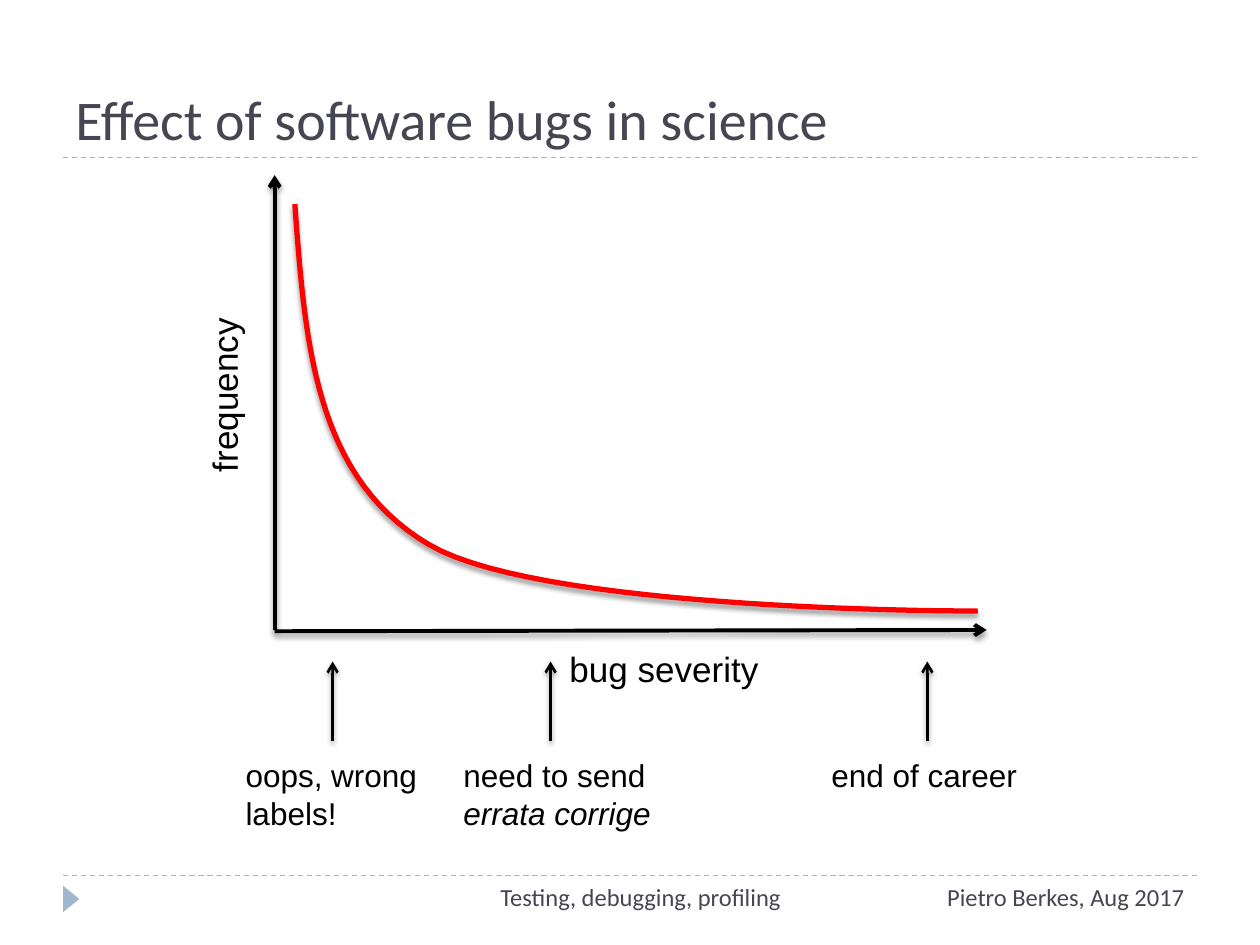
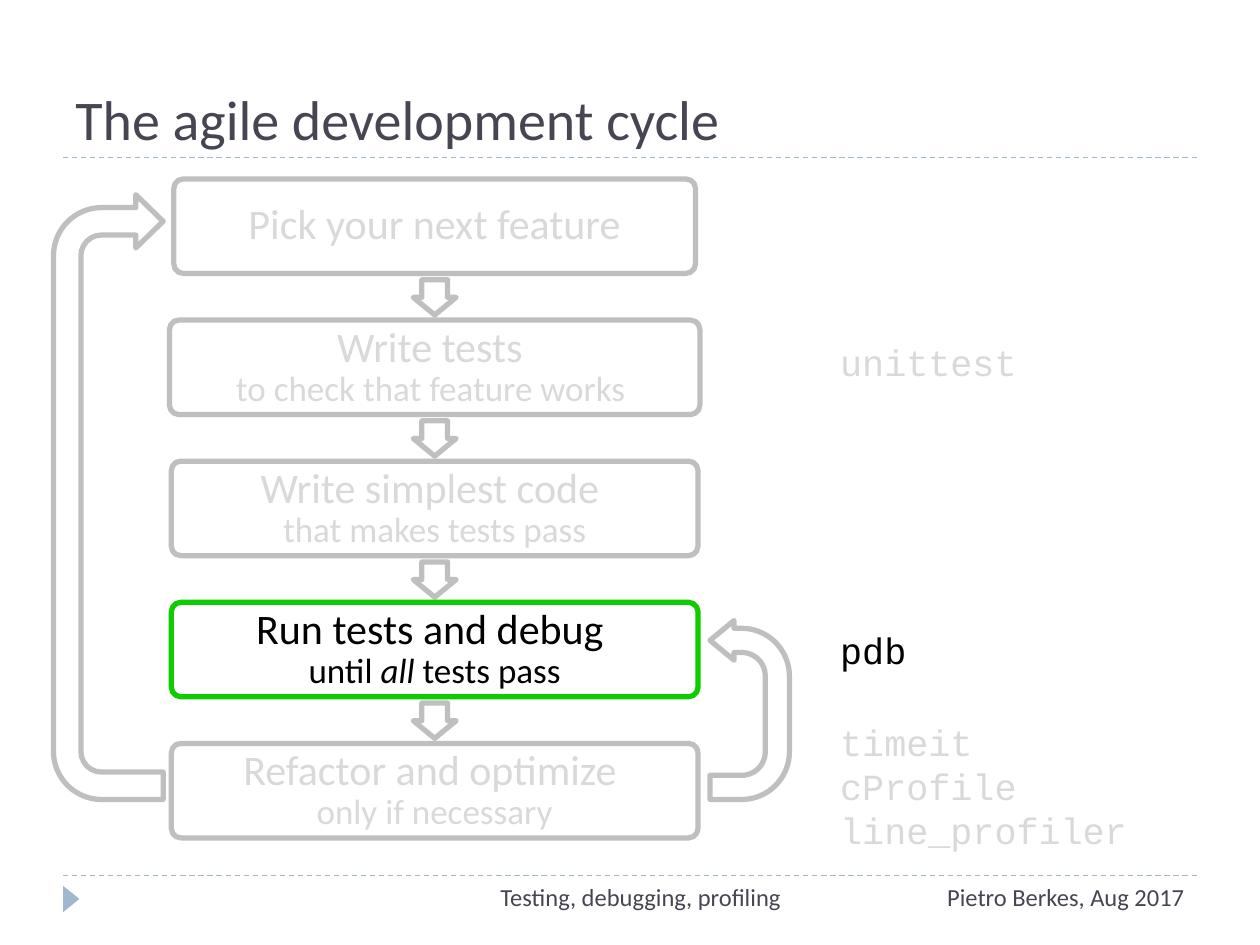
from dataclasses import dataclass
from typing import NamedTuple, Optional

import pptx
import pptx.util
from lxml import etree
from pptx.dml.color import RGBColor
from pptx.enum.dml import MSO_LINE
from pptx.enum.shapes import MSO_CONNECTOR, MSO_SHAPE
from pptx.enum.text import MSO_ANCHOR, PP_ALIGN
from pptx.oxml.ns import qn
from pptx.util import Inches


@dataclass(frozen=True)
class Theme:
    heading: str = "464653"
    accent: str = "9FB8CD"
    ink: str = "000000"
    paper: str = "FFFFFF"
    curve: str = "FF0000"
    faded_text: str = "D9D9D9"
    faded_line: str = "BFBFBF"
    active_line: str = "0ECC00"
    body_font: str = "Calibri"
    plot_font: str = "Arial"
    code_font: str = "Courier New"
    title_size: int = 32
    step_size: int = 24
    code_size: int = 21
    detail_size: int = 20
    axis_size: int = 20
    note_size: int = 18
    footer_size: int = 14
    outline: float = 3


THEME = Theme()


class Box(NamedTuple):
    x: float
    y: float
    w: float
    h: float

    def lengths(self) -> list:
        return [Inches(v) for v in self]


class Run(NamedTuple):
    text: str
    size: Optional[int] = None
    italic: Optional[bool] = None


class Style(NamedTuple):
    font: str
    size: int
    color: str
    align: PP_ALIGN = PP_ALIGN.LEFT


class Severity(NamedTuple):
    arrow_x: float
    box: Box
    runs: list


class Step(NamedTuple):
    width: float
    heading: str
    details: list
    active: bool = False


class Tools(NamedTuple):
    box: Box
    names: list
    color: str


class UTurn(NamedTuple):
    box: Box
    adjustments: list
    flipped: bool = False


BREAK = Run("\n")
NOTE = Style(THEME.plot_font, THEME.note_size, THEME.ink)
AXIS = Style(THEME.plot_font, THEME.axis_size, THEME.ink, PP_ALIGN.CENTER)

SEVERITIES = [
    Severity(2.64, Box(1.85, 5.95, 1.65, 0.71), [Run("oops, wrong labels!")]),
    Severity(4.37, Box(3.58, 5.95, 1.73, 0.71),
             [Run("need to send "), Run("errata corrige", italic=True)]),
    Severity(7.36, Box(6.5, 5.95, 1.73, 0.4), [Run("end of career")]),
]
CURVE = [
    [(2.34, 1.62), (2.42, 2.7), (2.49, 3.78), (3.4, 4.32)],
    [(3.4, 4.32), (4.3, 4.86), (7.76, 4.85), (7.76, 4.85)],
]

STEPS = [
    Step(4.14, "Pick your next feature", []),
    Step(4.21, "Write tests ", [Run("to check that feature works ")]),
    Step(4.18, "Write simplest code ", [Run("that makes tests pass")]),
    Step(4.18, "Run tests and debug ",
         [Run("until "), Run("all", italic=True), Run(" tests pass")], active=True),
    Step(4.18, "Refactor and optimize ", [Run("only if necessary")]),
]
STEP_CENTER, STEP_TOP, STEP_PITCH, STEP_HEIGHT = 3.45, 1.42, 1.12, 0.75
TOOLS = [
    Tools(Box(6.57, 2.65, 2.05, 0.45), ["unittest"], THEME.faded_text),
    Tools(Box(6.57, 4.93, 2.45, 0.45), ["pdb"], THEME.ink),
    Tools(Box(6.57, 5.66, 2.99, 1.16), ["timeit", "cProfile", "line_profiler"],
          THEME.faded_text),
]
LOOPS = [
    UTurn(Box(-1.54, 3.51, 4.8, 0.87), [0.25, 0.243, 0.25, 0.438, 1]),
    UTurn(Box(5.24, 5.32, 1.42, 0.63), [0.304, 0.25, 0.302, 0.601, 1], flipped=True),
]


def rgb(color: str) -> RGBColor:
    return RGBColor.from_string(color)


def fill_text(tf, paragraphs: list, style: Style) -> None:
    """Write paragraphs, each a list of runs, into a text frame."""
    tf.word_wrap = True
    for i, runs in enumerate(paragraphs):
        p = tf.add_paragraph() if i else tf.paragraphs[0]
        p.alignment = style.align
        p.font.name = style.font
        p.font.size = pptx.util.Pt(style.size)
        p.font.color.rgb = rgb(style.color)
        for run in runs:
            if run == BREAK:
                p.add_line_break()
                continue
            r = p.add_run()
            r.text = run.text
            r.font.italic = run.italic
            if run.size:
                r.font.size = pptx.util.Pt(run.size)


def add_text(s, box: Box, paragraphs: list, style: Style):
    sp = s.shapes.add_textbox(*box.lengths())
    fill_text(sp.text_frame, paragraphs, style)
    return sp


def add_shape(s, kind: MSO_SHAPE, box: Box, fill: str, line: Optional[str] = None,
              adjustments: tuple = (), rotation: float = 0):
    sp = s.shapes.add_shape(kind, *box.lengths())
    sp.shadow.inherit = False
    sp.rotation = rotation
    for i, value in enumerate(adjustments):
        sp.adjustments[i] = value
    sp.fill.solid()
    sp.fill.fore_color.rgb = rgb(fill)
    if line:
        sp.line.color.rgb = rgb(line)
        sp.line.width = pptx.util.Pt(THEME.outline)
    else:
        sp.line.fill.background()
    return sp


def set_effects(sp, shadow: bool) -> None:
    """Replace the theme's shadow by a soft one below the line, or by none."""
    effects = etree.SubElement(sp._element.spPr, qn("a:effectLst"))
    if shadow:
        outer = etree.SubElement(effects, qn("a:outerShdw"), blurRad="38100",
                                 dist="25400", dir="5400000", rotWithShape="0")
        color = etree.SubElement(outer, qn("a:srgbClr"), val=THEME.ink)
        etree.SubElement(color, qn("a:alpha"), val="40000")


def add_line(s, start: tuple, end: tuple, color: str, width: float):
    sp = s.shapes.add_connector(MSO_CONNECTOR.STRAIGHT,
                                *[Inches(v) for v in (*start, *end)])
    sp.line.color.rgb = rgb(color)
    sp.line.width = pptx.util.Pt(width)
    return sp


def add_arrow(s, start: tuple, end: tuple, width: float) -> None:
    sp = add_line(s, start, end, THEME.ink, width)
    etree.SubElement(sp._element.spPr.find(qn("a:ln")), qn("a:tailEnd"), type="arrow")
    set_effects(sp, shadow=True)


def bezier(points: list, t: float) -> tuple:
    weights = ((1 - t) ** 3, 3 * t * (1 - t) ** 2, 3 * t ** 2 * (1 - t), t ** 3)
    return tuple(sum(w * pt[axis] for w, pt in zip(weights, points)) for axis in (0, 1))


def add_curve(s, segments: list, samples: int = 30) -> None:
    points = [bezier(seg, i / samples) for seg in segments for i in range(1, samples + 1)]
    x, y = segments[0][0]
    builder = s.shapes.build_freeform(Inches(x), Inches(y))
    builder.add_line_segments([(Inches(px), Inches(py)) for px, py in points], close=False)
    sp = builder.convert_to_shape()
    sp.fill.background()
    sp.line.color.rgb = rgb(THEME.curve)
    sp.line.width = pptx.util.Pt(THEME.outline)
    set_effects(sp, shadow=True)


def add_slide(prs, title: str):
    """Add a blank slide with the shared rules, marker, title and footer."""
    s = prs.slides.add_slide(prs.slide_layouts[6])
    for y in (6.95, 1.25):
        rule = add_line(s, (0.5, y), (9.5, y), THEME.accent, 0.75)
        rule.line.dash_style = MSO_LINE.DASH
        set_effects(rule, shadow=False)
    add_shape(s, MSO_SHAPE.ISOSCELES_TRIANGLE, Box(0.46, 7.07, 0.21, 0.13),
              THEME.accent, rotation=90)
    sp = add_text(s, Box(0.5, 0.25, 9, 1), [[Run(title)]],
                  Style(THEME.body_font, THEME.title_size, THEME.heading))
    sp.text_frame.vertical_anchor = MSO_ANCHOR.BOTTOM
    for box, text, align in (
        (Box(7, 6.95, 2.5, 0.4), "Pietro Berkes, Aug 2017", PP_ALIGN.RIGHT),
        (Box(3.17, 6.95, 3.83, 0.4), "Testing, debugging, profiling", PP_ALIGN.CENTER),
    ):
        add_text(s, box, [[Run(text)]],
                 Style(THEME.body_font, THEME.footer_size, THEME.heading, align))
    return s


def build_bug_effects(prs) -> None:
    s = add_slide(prs, "Effect of software bugs in science")
    add_arrow(s, (2.18, 5), (2.18, 1.39), 2.25)
    add_arrow(s, (2.18, 5.01), (7.83, 5), 2.25)
    frequency = add_text(s, Box(0.98, 2.91, 1.61, 0.45), [[Run("frequency")]], AXIS)
    frequency.rotation = 270
    add_text(s, Box(4.28, 5.09, 1.98, 0.44), [[Run("bug severity")]], AXIS)
    add_curve(s, CURVE)
    for severity in SEVERITIES:
        add_arrow(s, (severity.arrow_x, 5.88), (severity.arrow_x, 5.25), 1.5)
        add_text(s, severity.box, [severity.runs], NOTE)


def add_step(s, step: Step, top: float) -> None:
    box = Box(STEP_CENTER - step.width / 2, top, step.width, STEP_HEIGHT)
    sp = add_shape(s, MSO_SHAPE.ROUNDED_RECTANGLE, box, THEME.paper,
                   THEME.active_line if step.active else THEME.faded_line, (0.1,))
    tf = sp.text_frame
    tf.margin_left = tf.margin_right = tf.margin_top = tf.margin_bottom = Inches(0.1)
    tf.vertical_anchor = MSO_ANCHOR.MIDDLE
    runs = [Run(step.heading)]
    if step.details:
        runs += [BREAK, *(d._replace(size=THEME.detail_size) for d in step.details)]
    fill_text(tf, [runs], Style(THEME.body_font, THEME.step_size,
                                THEME.ink if step.active else THEME.faded_text,
                                PP_ALIGN.CENTER))
    tf.paragraphs[0].line_spacing = 0.9


def build_agile_cycle(prs) -> None:
    s = add_slide(prs, "The agile development cycle")
    for tools in TOOLS:
        add_text(s, tools.box, [[Run(name)] for name in tools.names],
                 Style(THEME.code_font, THEME.code_size, tools.color))
    for i, step in enumerate(STEPS):
        top = STEP_TOP + i * STEP_PITCH
        add_step(s, step, top)
        if i < len(STEPS) - 1:
            add_shape(s, MSO_SHAPE.RIGHT_ARROW, Box(STEP_CENTER - 0.14, top + 0.77, 0.28, 0.34),
                      THEME.paper, THEME.faded_line, (0.6, 0.5), rotation=90)
    for loop in LOOPS:
        sp = add_shape(s, MSO_SHAPE.U_TURN_ARROW, loop.box, THEME.paper,
                       THEME.faded_line, loop.adjustments, rotation=270)
        if loop.flipped:
            sp._element.spPr.find(qn("a:xfrm")).set("flipV", "1")


def main() -> None:
    prs = pptx.Presentation()
    prs.slide_width, prs.slide_height = Inches(10), Inches(7.5)
    build_bug_effects(prs)
    build_agile_cycle(prs)
    prs.save("out.pptx")


if __name__ == "__main__":
    main()
